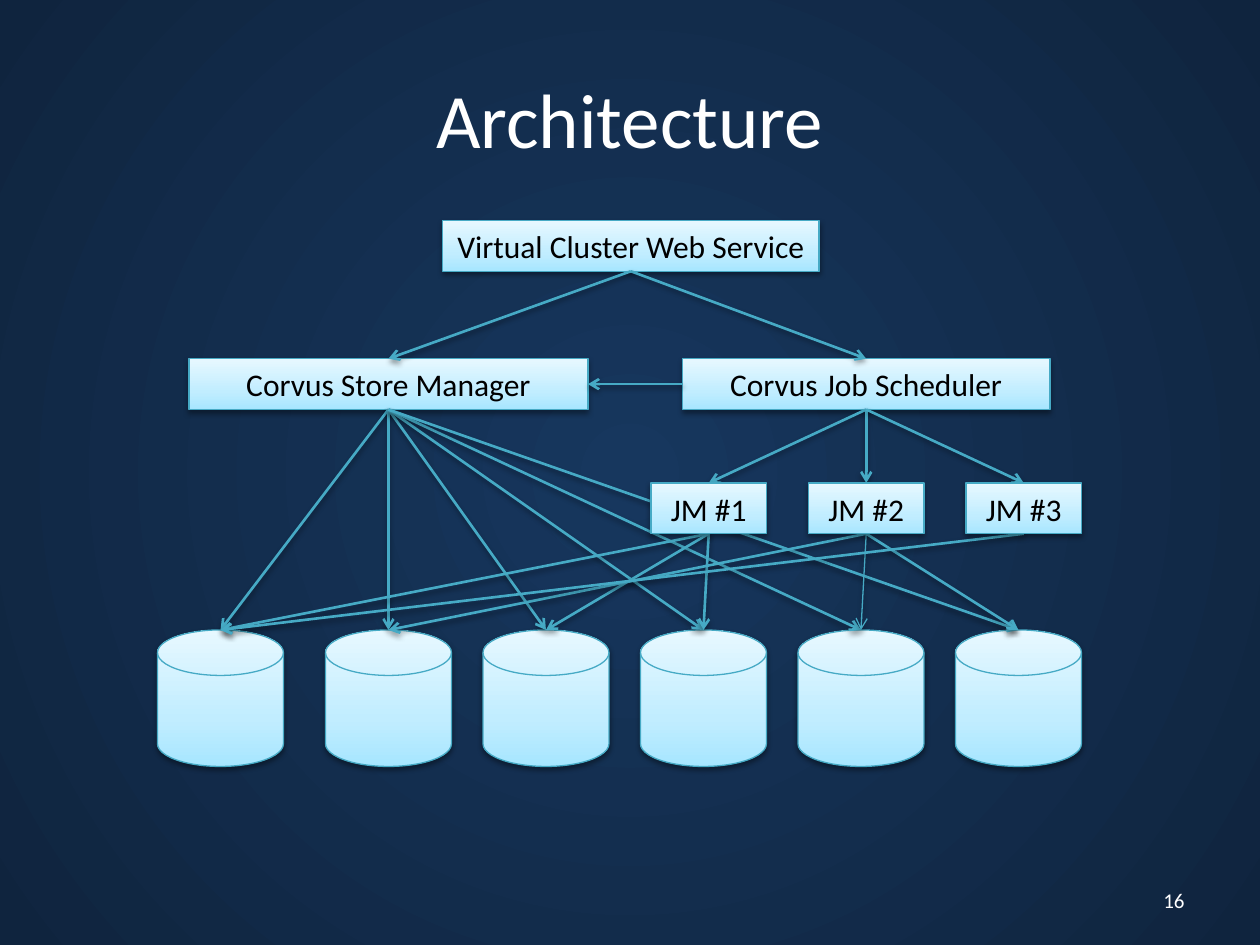
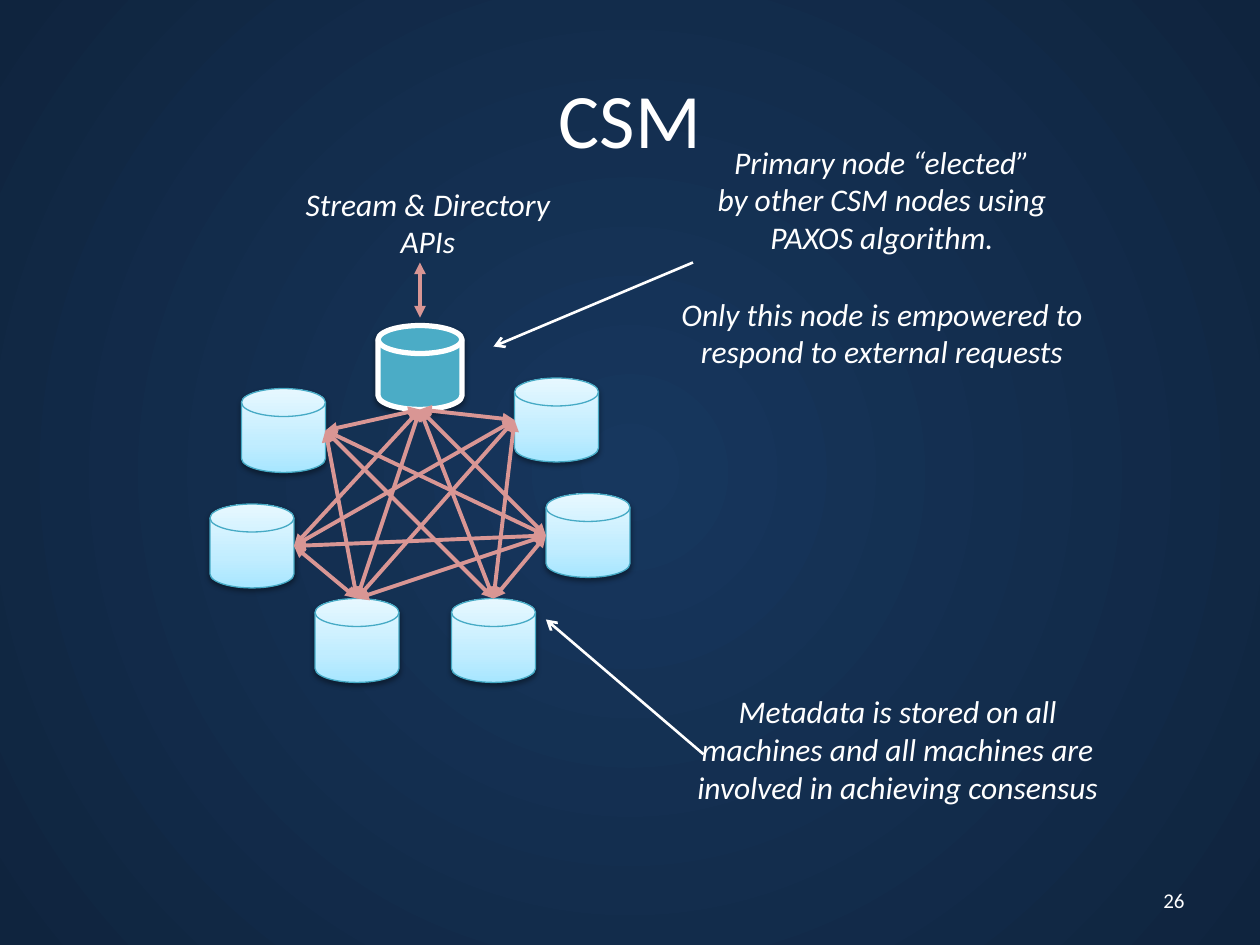
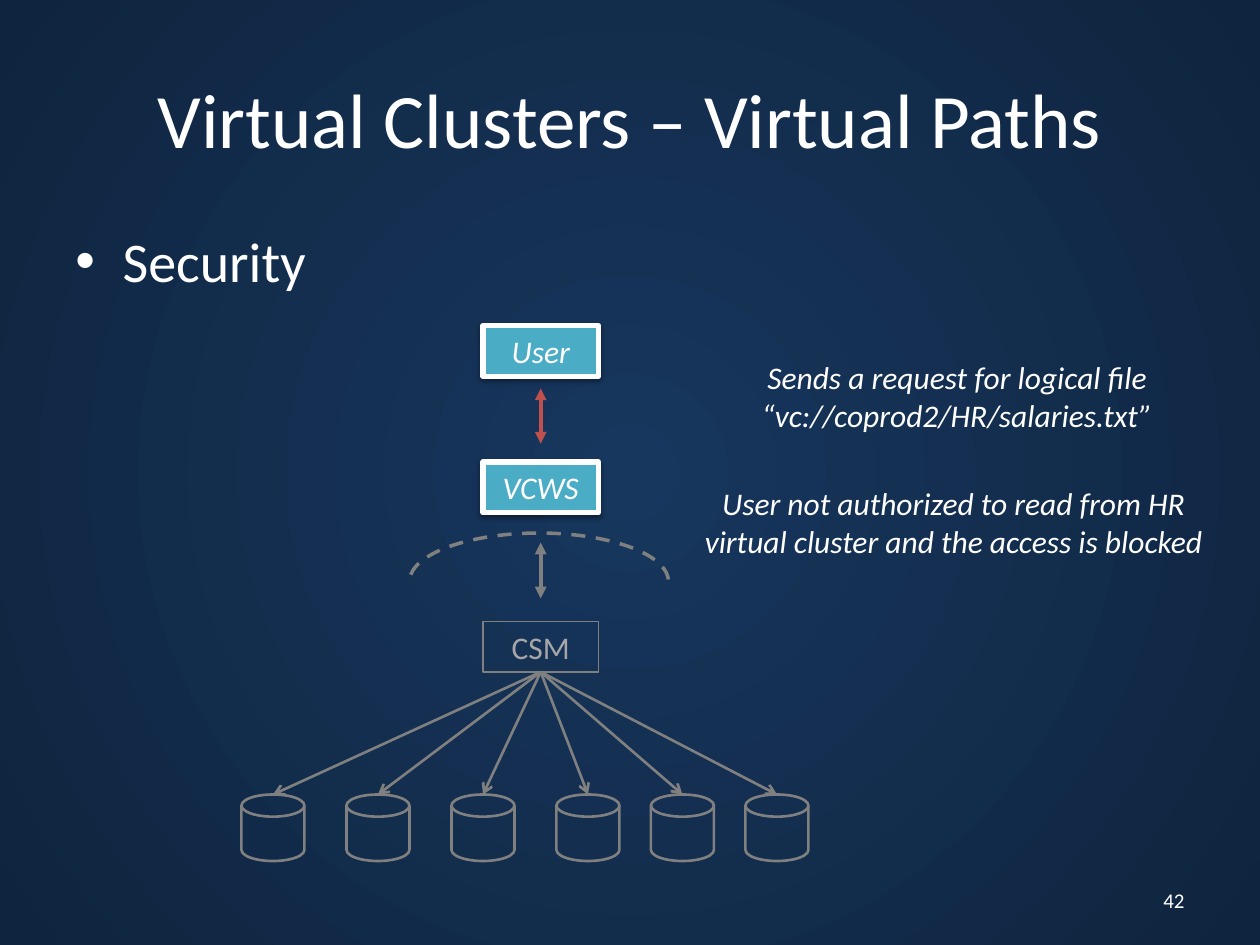
from dataclasses import dataclass
from itertools import combinations

from lxml import etree
from pptx import Presentation
from pptx.dml.color import RGBColor
from pptx.enum.dml import MSO_LINE
from pptx.enum.shapes import MSO_CONNECTOR, MSO_SHAPE
from pptx.enum.text import MSO_ANCHOR, PP_ALIGN
from pptx.oxml.ns import qn
from pptx.util import Pt

RECT = MSO_SHAPE.RECTANGLE
DISK = MSO_SHAPE.FLOWCHART_MAGNETIC_DISK
ARC = MSO_SHAPE.ARC
STRAIGHT = MSO_CONNECTOR.STRAIGHT
DASH = MSO_LINE.DASH
TOP, MIDDLE = MSO_ANCHOR.TOP, MSO_ANCHOR.MIDDLE
LEFT, CENTER, RIGHT = PP_ALIGN.LEFT, PP_ALIGN.CENTER, PP_ALIGN.RIGHT


@dataclass(frozen=True)
class Theme:
    font: str = "Calibri"
    white: str = "FFFFFF"
    black: str = "000000"
    teal: str = "46AAC5"
    aqua: str = "4BACC6"
    pink: str = "D99694"
    red: str = "C0504D"
    grey: str = "808080"
    pale_grey: str = "A6A6A6"
    night: tuple = ((0, "17375E"), (100, "0F243E"))
    ice: tuple = ((0, "A7E6FF"), (35, "C1EDFF"), (100, "E7F8FF"))
    title_size: int = 44
    body_size: int = 32
    label_size: int = 18
    number_size: int = 12


@dataclass(frozen=True)
class Look:
    fill: object
    line: str
    width: float
    text: str
    shadow: bool = True
    italic: bool = False


THEME = Theme()
ICE = Look(THEME.ice, THEME.teal, 0.75, THEME.black)
ACTIVE = Look(THEME.aqua, THEME.white, 3, THEME.white, italic=True)
GHOST = Look(None, THEME.grey, 0.75, THEME.pale_grey, shadow=False)
GHOST_DISK = Look(None, THEME.grey, 1.5, THEME.pale_grey, shadow=False)
GHOST_ARC = Look(None, THEME.grey, 2, THEME.pale_grey, shadow=False)

BOX_HEIGHT = 29
SMALL_BOX_WIDTH = 66

SERVICES = {
    "Virtual Cluster Web Service": (253, 126, 215, BOX_HEIGHT),
    "Corvus Job Scheduler": (390, 205, 210, BOX_HEIGHT),
    "Corvus Store Manager": (108, 205, 228, BOX_HEIGHT),
}
STORE_DISKS = [(left, 360, 72, 78) for left in (90, *range(186, 547, 90))]
JOB_MANAGERS = {
    f"JM #{index + 1}": (372 + 90 * index, 276, SMALL_BOX_WIDTH, BOX_HEIGHT)
    for index in range(3)
}
JOB_LINKS = {"JM #1": (0, 3, 2), "JM #2": (1, 4, 5), "JM #3": (0,)}
THIN_LINK = ("JM #2", 4)

CSM_NODES = {
    "primary": (216, 186, "bottom"),
    "upper right": (294, 216, "left"),
    "right": (312, 282, "left"),
    "lower right": (258, 342, "top"),
    "lower left": (180, 342, "top"),
    "left": (120, 288, "right"),
    "upper left": (138, 222, "right"),
}
NODE_SIZE = 48
UNLINKED = {
    ("upper right", "right"),
    ("upper right", "upper left"),
    ("lower right", "lower left"),
    ("lower right", "left"),
    ("left", "upper left"),
}
CSM_NOTES = [
    ((150, 102, 189, 51), ["Stream & Directory", "APIs"]),
    ((372, 78, 264, 160), [
        "Primary node “elected”",
        "by other CSM nodes using",
        "PAXOS algorithm.",
        "Only this node is empowered to respond to external requests",
    ]),
    ((390, 392, 246, 94), [
        "Metadata is stored on all machines and all machines are "
        "involved in achieving consensus",
    ]),
]
NOTE_GAP = 22
CSM_POINTERS = [((396, 150), (282, 198)), ((402, 431), (312, 354))]

PATH_BOXES = [("User", 186, ACTIVE), ("VCWS", 264, ACTIVE), ("CSM", 355, GHOST)]
PATH_BOX_LEFT = 276
PATH_ARROWS = [(222, 253.5, THEME.red), (310, 342, THEME.grey)]
PATH_DISKS = [(left, 454, 36, 38) for left in (138, 198, 258, 318, 372, 426)]
BARRIER = (234, 304.6, 148, 55.4)
PATH_NOTES = [
    ((390, 201, 314, 51),
     ["Sends a request for logical file", "“vc://coprod2/HR/salaries.txt”"]),
    ((388, 273, 314, 73),
     ["User not authorized to read from HR virtual cluster and the access is blocked"]),
]


def points(values):
    return [Pt(value) for value in values]


def color(value):
    return RGBColor.from_string(value)


def anchor(area, side):
    left, top, width, height = area
    return {
        "top": (left + width / 2, top),
        "bottom": (left + width / 2, top + height),
        "left": (left, top + height / 2),
        "right": (left + width, top + height / 2),
    }[side]


def add_node(parent, tag, **attributes):
    node = etree.SubElement(parent, qn(tag))
    for name, value in attributes.items():
        node.set(name, str(value))
    return node


def set_gradient(root, fill, stops, radial=False):
    fill.gradient()
    gradient = root.find(".//" + qn("a:gradFill"))
    gradient.clear()
    stop_list = add_node(gradient, "a:gsLst")
    for position, value in stops:
        stop = add_node(stop_list, "a:gs", pos=position * 1000)
        add_node(stop, "a:srgbClr", val=value)
    if radial:
        circle = add_node(gradient, "a:path", path="circle")
        add_node(circle, "a:fillToRect", l=50000, t=50000, r=50000, b=50000)
    else:
        add_node(gradient, "a:lin", ang=270 * 60000, scaled=0)


def add_shadow(effects):
    shadow = add_node(effects, "a:outerShdw", blurRad=Pt(3.1), dist=Pt(1.6),
                      dir=90 * 60000, rotWithShape=0)
    add_node(add_node(shadow, "a:srgbClr", val=THEME.black), "a:alpha", val=38000)


def set_text(shape, lines, size, value, align=CENTER, place=TOP, italic=False, wrap=True):
    frame = shape.text_frame
    frame.word_wrap = wrap
    frame.vertical_anchor = place
    frame.text = "\n".join(lines)
    for para in frame.paragraphs:
        para.alignment = align
        for span in para.runs:
            span.font.name = THEME.font
            span.font.size = Pt(size)
            span.font.italic = italic
            span.font.color.rgb = color(value)
    return frame


def add_text(page, area, lines, size, **options):
    box = page.shapes.add_textbox(*points(area))
    return set_text(box, lines, size, THEME.white, **options)


def add_note(page, area, lines):
    return add_text(page, area, lines, THEME.label_size, italic=True)


def add_part(page, kind, area, look, label=None):
    shape = page.shapes.add_shape(kind, *points(area))
    if look.fill is None:
        shape.fill.background()
    elif isinstance(look.fill, tuple):
        set_gradient(shape.element.spPr, shape.fill, look.fill)
    else:
        shape.fill.solid()
        shape.fill.fore_color.rgb = color(look.fill)
    shape.line.color.rgb = color(look.line)
    shape.line.width = Pt(look.width)
    shape.shadow.inherit = False
    if look.shadow:
        add_shadow(shape.element.spPr.find(qn("a:effectLst")))
    if label:
        set_text(shape, [label], THEME.label_size, look.text, place=MIDDLE,
                 italic=look.italic, wrap=False)
    return shape


def add_arrow(page, start, end, value, width=1.5, double=False, shadow=False):
    arrow = page.shapes.add_connector(STRAIGHT, *points((*start, *end)))
    arrow.line.color.rgb = color(value)
    arrow.line.width = Pt(width)
    line = arrow.element.spPr.find(qn("a:ln"))
    if double:
        add_node(line, "a:headEnd", type="triangle")
    add_node(line, "a:tailEnd", type="triangle" if double else "arrow")
    effects = add_node(arrow.element.spPr, "a:effectLst")
    if shadow:
        add_shadow(effects)


def add_page(deck, title, number):
    page = deck.slides.add_slide(deck.slide_layouts[6])
    add_text(page, (36, 22, 648, 90), [title], THEME.title_size, place=MIDDLE)
    add_text(page, (516, 500, 168, 29), [str(number)], THEME.number_size,
             align=RIGHT, place=MIDDLE)
    return page


def build_architecture(deck):
    page = add_page(deck, "Architecture", 16)
    for label, area in SERVICES.items():
        add_part(page, RECT, area, ICE, label)
    for area in STORE_DISKS:
        add_part(page, DISK, area, ICE)

    web, scheduler, store = SERVICES.values()
    disk_tops = [anchor(area, "top") for area in STORE_DISKS]
    links = [(anchor(web, "bottom"), anchor(area, "top"), 1.5) for area in (scheduler, store)]
    links.append((anchor(scheduler, "left"), anchor(store, "right"), 1.5))
    links += [(anchor(store, "bottom"), disk_top, 1.5) for disk_top in disk_tops]
    for label, area in JOB_MANAGERS.items():
        links.append((anchor(scheduler, "bottom"), anchor(area, "top"), 1.5))
        for index in JOB_LINKS[label]:
            width = 0.75 if (label, index) == THIN_LINK else 1.5
            links.append((anchor(area, "bottom"), disk_tops[index], width))
    for start, end, width in links:
        add_arrow(page, start, end, THEME.teal, width, shadow=True)

    for label, area in JOB_MANAGERS.items():
        add_part(page, RECT, area, ICE, label)


def build_csm(deck):
    page = add_page(deck, "CSM", 26)
    ports = {}
    for name, (left, top, side) in CSM_NODES.items():
        area = (left, top, NODE_SIZE, NODE_SIZE)
        add_part(page, DISK, area, ACTIVE if name == "primary" else ICE)
        ports[name] = anchor(area, side)
    frames = [add_note(page, area, lines) for area, lines in CSM_NOTES]
    frames[1].paragraphs[-1].space_before = Pt(NOTE_GAP)
    add_arrow(page, (240, 150), (240, 181.5), THEME.pink, 2.25, double=True)
    for pair in combinations(CSM_NODES, 2):
        if pair not in UNLINKED:
            add_arrow(page, ports[pair[0]], ports[pair[1]], THEME.pink, 2.25, double=True)
    for start, end in CSM_POINTERS:
        add_arrow(page, start, end, THEME.white)


def build_virtual_paths(deck):
    page = add_page(deck, "Virtual Clusters – Virtual Paths", 42)
    body = add_text(page, (36, 126, 648, 356), ["Security"], THEME.body_size, align=LEFT)
    layout = body.paragraphs[0]._p.get_or_add_pPr()
    layout.set("marL", str(Pt(27)))
    layout.set("indent", str(-Pt(27)))
    add_node(layout, "a:buFont", typeface="Arial")
    add_node(layout, "a:buChar", char="•")

    for label, top, look in PATH_BOXES:
        area = (PATH_BOX_LEFT, top, SMALL_BOX_WIDTH, BOX_HEIGHT)
        add_part(page, RECT, area, look, label)
    csm_port = anchor(area, "bottom")
    for top, bottom, value in PATH_ARROWS:
        add_arrow(page, (csm_port[0], top), (csm_port[0], bottom), value, 2.25, double=True)
    for disk in PATH_DISKS:
        add_part(page, DISK, disk, GHOST_DISK)
        add_arrow(page, csm_port, anchor(disk, "top"), THEME.grey)
    for area, lines in PATH_NOTES:
        add_note(page, area, lines)
    barrier = add_part(page, ARC, BARRIER, GHOST_ARC)
    barrier.adjustments[0] = 109.82
    barrier.adjustments[1] = 0
    barrier.line.dash_style = DASH


def main():
    deck = Presentation()
    deck.slide_width, deck.slide_height = Pt(720), Pt(540)
    master = deck.slide_master
    set_gradient(master.element, master.background.fill, THEME.night, radial=True)
    build_architecture(deck)
    build_csm(deck)
    build_virtual_paths(deck)
    deck.save("out.pptx")


if __name__ == "__main__":
    main()
